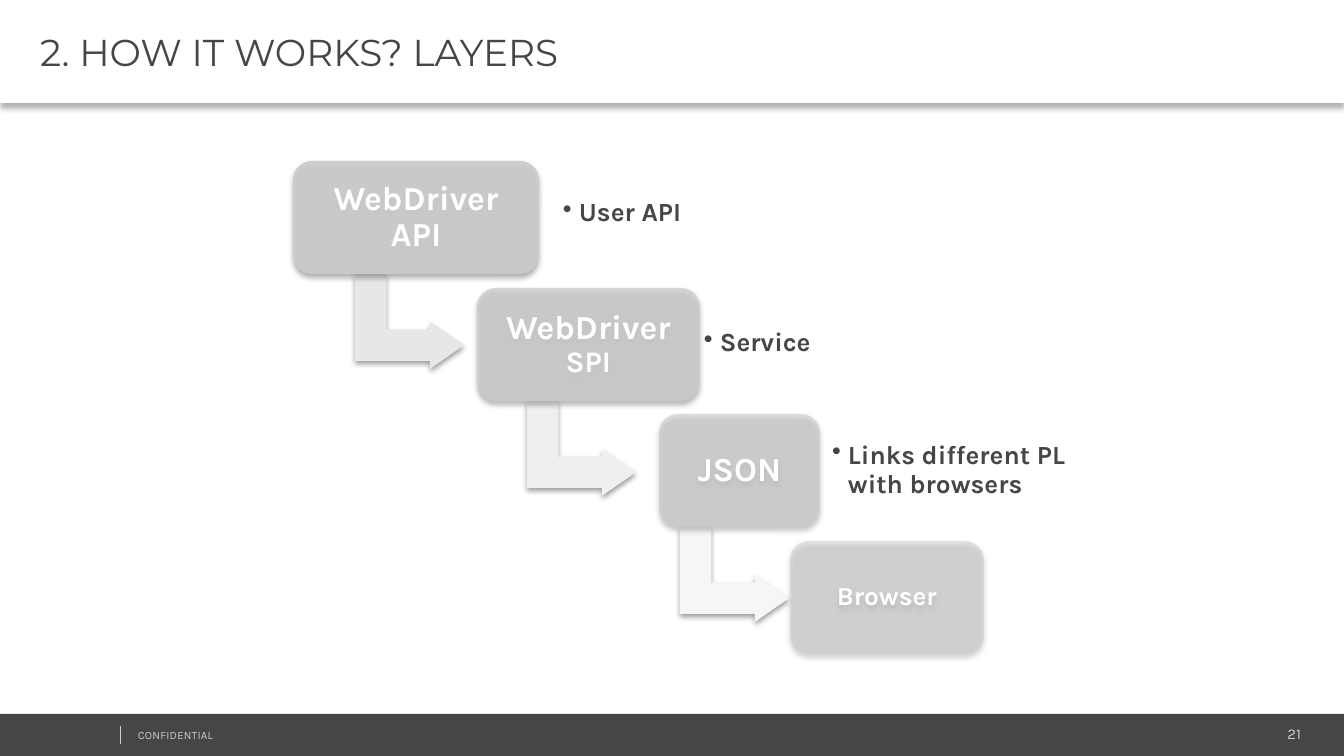
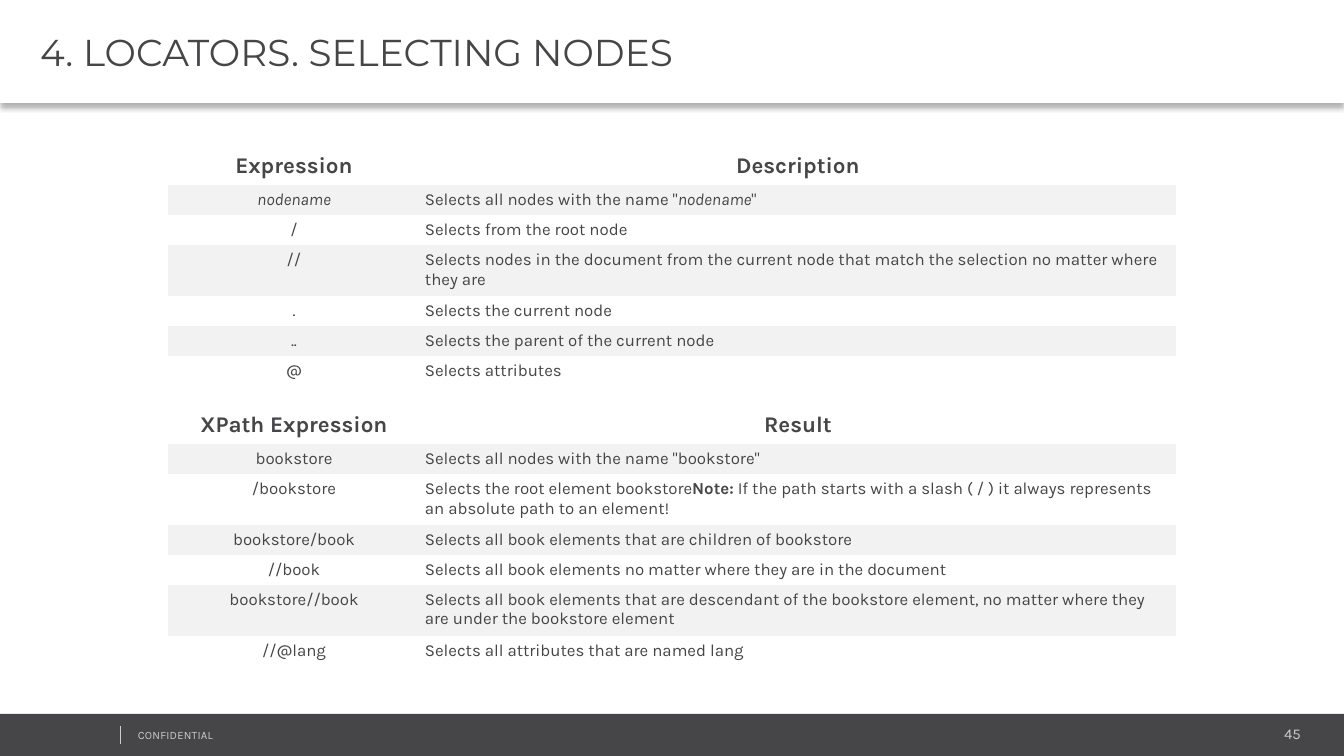
from lxml import etree
from pptx import Presentation
from pptx.dml.color import RGBColor
from pptx.enum.shapes import MSO_CONNECTOR, MSO_SHAPE
from pptx.enum.text import MSO_ANCHOR, MSO_AUTO_SIZE, PP_ALIGN
from pptx.oxml.ns import qn
from pptx.util import Emu, Pt

INK, PALE, WHITE, BAND = "464547", "CCCCCC", "FFFFFF", "F2F2F2"
BODY_FONT, TITLE_FONT = "Karla", "Montserrat"
PLAIN_TABLE = "{2D5ABB26-0587-4C30-8999-92F81FD0307C}"

LAYERS_TITLE = "2. HOW IT WORKS? LAYERS"
LAYERS = [
    dict(label=[("WebDriver API", 18)], left=293, width=246, opacity=90, inset=9,
         note="User API", note_box=(555, 7, 245), arrow_left=362, arrow_fill="E7E7E7"),
    dict(label=[("WebDriver", 18), (" SPI", 16)], left=477, width=223, opacity=77, inset=9,
         note="Service", note_box=(696, 10, 176), arrow_left=534, arrow_fill="EFEFEF"),
    dict(label=[("JSON", 18)], left=659, width=161, opacity=63, inset=9,
         note="Links different PL with browsers", note_box=(824, 11, 301),
         arrow_left=687, arrow_fill="F6F6F6"),
    dict(label=[("Browser", 14)], left=790, width=194, opacity=50, inset=20),
]

LOCATORS_TITLE = "4. LOCATORS. SELECTING NODES"
EXPRESSIONS = [
    ("Expression", "Description"),
    ([("nodename", "i")],
     [('Selects all nodes with the name "', ""), ("nodename", "i"), ('"', "")]),
    ("/", "Selects from the root node"),
    ("//", "Selects nodes in the document from the current node that match the selection "
           "no matter where they are"),
    (".", "Selects the current node"),
    ("..", "Selects the parent of the current node"),
    ("@", "Selects attributes"),
]
XPATH_RESULTS = [
    ("XPath Expression", "Result"),
    ("bookstore", 'Selects all nodes with the name "bookstore"'),
    ("/bookstore",
     [("Selects the root element bookstore", ""), ("Note:", "b"),
      (" If the path starts with a slash ( / ) it always represents "
       "an absolute path to an element!", "")]),
    ("bookstore/book", "Selects all book elements that are children of bookstore"),
    ("//book", "Selects all book elements no matter where they are in the document"),
    ("bookstore//book", "Selects all book elements that are descendant of the bookstore element, "
                        "no matter where they are under the bookstore element"),
    ("//@lang", "Selects all attributes that are named lang"),
]


def px(n):
    return Emu(round(n * 914400 / 134.4))


def rgb(colour):
    return RGBColor.from_string(colour)


def add_run(paragraph, text, size, colour=INK, font=BODY_FONT, bold=False, italic=False):
    run = paragraph.add_run()
    run.text = text
    run.font.size = Pt(size)
    run.font.name = font
    run.font.color.rgb = rgb(colour)
    run.font.bold = bold
    run.font.italic = italic
    return run


def set_frame(shape, insets, anchor=MSO_ANCHOR.TOP):
    frame = shape.text_frame
    frame.word_wrap = True
    frame.auto_size = MSO_AUTO_SIZE.NONE
    frame.vertical_anchor = anchor
    frame.margin_left, frame.margin_top, frame.margin_right, frame.margin_bottom = map(px, insets)
    return frame.paragraphs[0]


def add_textbox(slide, box, insets, anchor=MSO_ANCHOR.TOP):
    return set_frame(slide.shapes.add_textbox(*map(px, box)), insets, anchor)


def set_surface(shape, colour, opacity=100, shadow=None):
    shape.fill.solid()
    shape.fill.fore_color.rgb = rgb(colour)
    if opacity < 100:
        tint = shape._element.spPr.find(qn("a:solidFill"))[0]
        etree.SubElement(tint, qn("a:alpha"), val=str(opacity * 1000))
    shape.line.fill.background()
    shape.shadow.inherit = False
    if shadow:
        strength, distance = shadow
        effects = shape._element.spPr.find(qn("a:effectLst"))
        outer = etree.SubElement(effects, qn("a:outerShdw"), blurRad=str(Pt(3.1)),
                                 dist=str(Pt(distance)), dir="5400000", rotWithShape="0")
        black = etree.SubElement(outer, qn("a:srgbClr"), val="000000")
        etree.SubElement(black, qn("a:alpha"), val=str(strength * 1000))


def add_panel(slide, kind, box, colour, opacity=100, shadow=None):
    panel = slide.shapes.add_shape(kind, *map(px, box))
    set_surface(panel, colour, opacity, shadow)
    return panel


def add_page(deck, heading, number):
    slide = deck.slides.add_slide(deck.slide_layouts[5])
    title = slide.shapes.title
    title.left, title.top, title.width, title.height = map(px, (0, 0, 1344, 103))
    set_surface(title, WHITE, shadow=(30, 2))
    paragraph = set_frame(title, (40, 5, 9, 5), MSO_ANCHOR.MIDDLE)
    paragraph.alignment = PP_ALIGN.LEFT
    add_run(paragraph, heading, 20, font=TITLE_FONT)

    add_panel(slide, MSO_SHAPE.RECTANGLE, (0, 714, 1344, 42), INK)
    page = add_textbox(slide, (1091, 720, 219, 28), (9, 5, 9, 5))
    page.alignment = PP_ALIGN.RIGHT
    add_run(page, number, 8, PALE)
    notice = add_textbox(slide, (129, 723, 340, 24), (9, 5, 9, 5))
    add_run(notice, "CONFIDENTIAL", 6, PALE)._r.get_or_add_rPr().set("spc", "10")
    divider = slide.shapes.add_connector(MSO_CONNECTOR.STRAIGHT, *map(px, (120, 726, 120, 744)))
    divider.line.color.rgb = rgb(PALE)
    divider.line.width = Pt(0.25)
    etree.SubElement(divider._element.spPr, qn("a:effectLst"))
    return slide


def add_layer(slide, layer, top):
    if "note" in layer:
        arrow = add_panel(slide, MSO_SHAPE.BENT_UP_ARROW, (layer["arrow_left"], top + 106, 95, 109),
                          layer["arrow_fill"], shadow=(38, 1.6))
        arrow.rotation = 90
        for i, value in enumerate((0.33, 0.25, 0.36)):
            arrow.adjustments[i] = value

    block = add_panel(slide, MSO_SHAPE.ROUNDED_RECTANGLE, (layer["left"], top, layer["width"], 113),
                      PALE, layer["opacity"], (35, 1.8))
    label = set_frame(block, [layer["inset"]] * 4, MSO_ANCHOR.MIDDLE)
    label.alignment = PP_ALIGN.CENTER
    label.line_spacing = 0.9
    for text, size in layer["label"]:
        add_run(label, text, size, WHITE, bold=True)

    if "note" in layer:
        left, drop, width = layer["note_box"]
        note = add_textbox(slide, (left, top + drop, width, 91), [8] * 4, MSO_ANCHOR.MIDDLE)
        props = note._p.get_or_add_pPr()
        props.set("marL", str(px(16)))
        props.set("indent", str(-px(16)))
        etree.SubElement(props, qn("a:buChar"), char="•")
        note.line_spacing = 0.9
        add_run(note, layer["note"], 14, bold=True)


def add_locator_table(slide, rows, top):
    rows = [[[(cell, "")] if isinstance(cell, str) else cell for cell in row] for row in rows]
    heights = [37] + [51 if sum(len(text) for text, _ in row[1]) > 90 else 30 for row in rows[1:]]
    widths = (252, 756)
    table = slide.shapes.add_table(len(rows), len(widths), *map(
        px, (168, top, sum(widths), sum(heights)))).table
    table.horz_banding = False
    table._tbl.tblPr[0].text = PLAIN_TABLE
    for column, width in zip(table.columns, widths):
        column.width = px(width)
    for r, (row, height) in enumerate(zip(rows, heights)):
        table.rows[r].height = px(height)
        for c, runs in enumerate(row):
            cell = table.cell(r, c)
            cell.fill.solid()
            cell.fill.fore_color.rgb = rgb(BAND if r % 2 else WHITE)
            cell.margin_left = cell.margin_right = cell.margin_top = cell.margin_bottom = px(5)
            paragraph = cell.text_frame.paragraphs[0]
            paragraph.alignment = PP_ALIGN.CENTER if r == 0 or c == 0 else PP_ALIGN.LEFT
            for text, style in runs:
                add_run(paragraph, text, 9 if r else 12, bold=r == 0 or style == "b",
                        italic=style == "i")


def main():
    deck = Presentation()
    deck.slide_width, deck.slide_height = px(1344), px(756)

    layers = add_page(deck, LAYERS_TITLE, "21")
    for i, layer in enumerate(LAYERS):
        add_layer(layers, layer, 161 + round(126.7 * i))

    locators = add_page(deck, LOCATORS_TITLE, "45")
    add_locator_table(locators, EXPRESSIONS, 148)
    add_locator_table(locators, XPATH_RESULTS, 407)

    deck.save("out.pptx")


if __name__ == "__main__":
    main()
